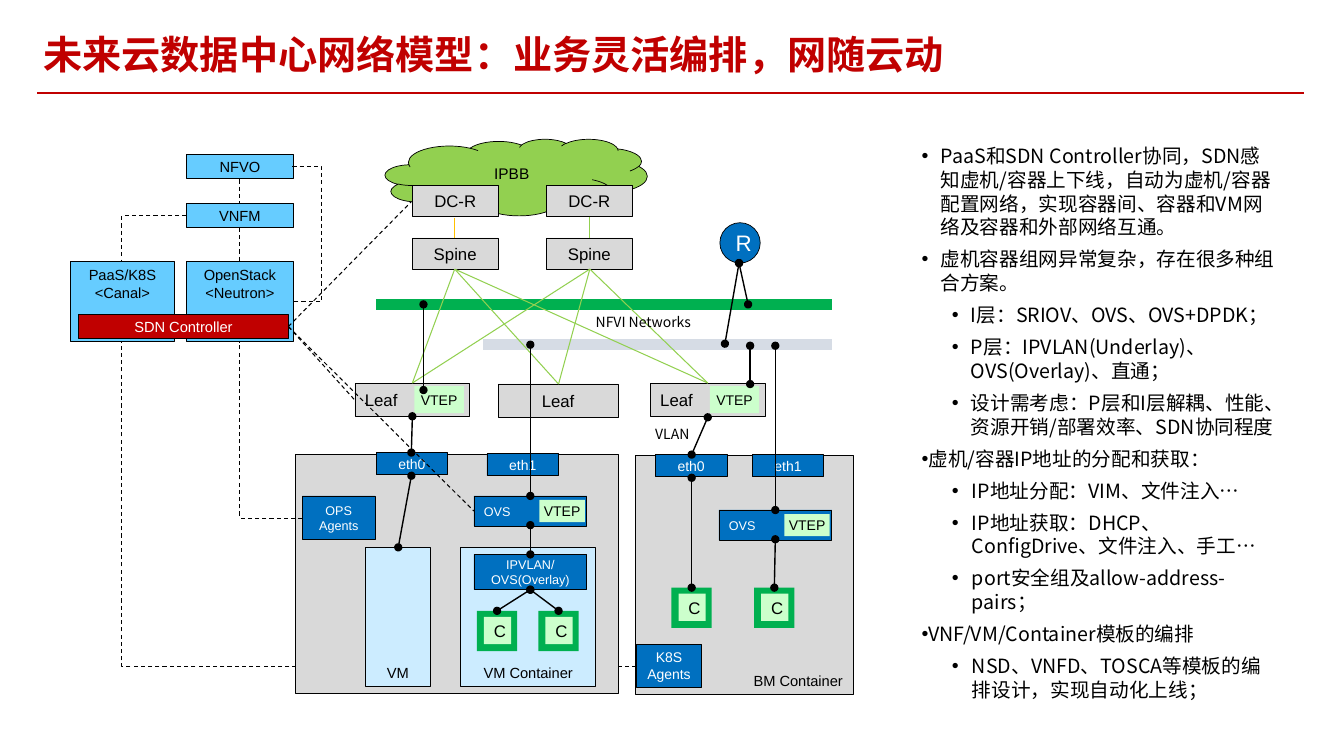
from dataclasses import dataclass

from pptx import Presentation
from pptx.dml.color import RGBColor
from pptx.enum.dml import MSO_LINE
from pptx.enum.shapes import MSO_CONNECTOR as Connector, MSO_SHAPE as Preset
from pptx.enum.text import MSO_ANCHOR as Anchor, MSO_AUTO_SIZE as AutoSize, PP_ALIGN as Align
from pptx.oxml.ns import qn
from pptx.oxml.xmlchemy import OxmlElement
from pptx.util import Emu, Pt


@dataclass(frozen=True)
class Theme:
    red: str = "C00000"
    black: str = "000000"
    white: str = "FFFFFF"
    sky: str = "66CCFF"
    ice: str = "CCECFF"
    blue: str = "0070C0"
    gray: str = "D9D9D9"
    silver: str = "D6DCE5"
    green: str = "00B050"
    lime: str = "92D050"
    mint: str = "CCFFCC"
    amber: str = "FFC000"
    latin: str = "Arial"
    chinese: str = "Noto Sans CJK SC"
    heading: float = 28
    body: float = 14
    router: float = 16
    device: float = 12
    cloud: float = 11
    block: float = 10.5
    port: float = 10
    agent: float = 9


def px(value):
    return Emu(value * 9144)


def assign(target, values):
    for name, value in values.items():
        setattr(target, name, value)


def add_element(parent, tag, **attributes):
    element = OxmlElement(tag)
    for name, value in attributes.items():
        element.set(name, str(value))
    parent.append(element)
    return element


class Diagram:
    def __init__(self, slide, theme):
        self.slide, self.theme = slide, theme

    def add_text(self, paragraph, text, size, color, font, bold=False):
        run = paragraph.add_run()
        run.text = text
        run.font.color.rgb = RGBColor.from_string(color)
        assign(run.font, {"size": Pt(size), "name": font, "bold": bold})
        add_element(run._r.get_or_add_rPr(), "a:ea", typeface=font)

    def place(self, shape, bounds):
        assign(shape, dict(zip(("left", "top", "width", "height"), map(px, bounds))))
        assign(shape.text_frame, {"word_wrap": True, "vertical_anchor": Anchor.TOP,
                                  "auto_size": AutoSize.SHAPE_TO_FIT_TEXT})

    def title(self, text, bounds):
        shape = self.slide.shapes.title
        self.place(shape, bounds)
        paragraph = shape.text_frame.paragraphs[0]
        assign(paragraph, {"alignment": Align.LEFT, "line_spacing": 0.9})
        self.add_text(paragraph, text, self.theme.heading, self.theme.red, self.theme.chinese, True)

    def bullets(self, items, bounds):
        shape = self.slide.placeholders[1]
        self.place(shape, bounds)
        frame = shape.text_frame
        for index, (level, margin, hang, text) in enumerate(items):
            paragraph = frame.add_paragraph() if index else frame.paragraphs[0]
            assign(paragraph, {"level": level, "alignment": Align.LEFT, "space_before": Pt(0),
                               "space_after": Pt(6), "line_spacing": Pt(16.9)})
            properties = paragraph._p.get_or_add_pPr()
            properties.set("marL", str(px(margin)))
            properties.set("indent", str(px(-hang)))
            add_element(properties, "a:buFont", typeface=self.theme.latin)
            add_element(properties, "a:buChar", char="•")
            self.add_text(paragraph, text, self.theme.body, self.theme.black, self.theme.chinese)

    def box(self, bounds, fill, text="", size=None, color=None, align=Align.CENTER,
            anchor=Anchor.MIDDLE, preset=Preset.RECTANGLE, outlined=True, insets=(10, 5, 10, 5)):
        shape = self.slide.shapes.add_shape(preset, *map(px, bounds))
        shape.shadow.inherit = False
        shape.fill.solid()
        shape.fill.fore_color.rgb = RGBColor.from_string(fill)
        if outlined:
            shape.line.color.rgb = RGBColor.from_string(self.theme.black)
            shape.line.width = Pt(0.5)
        else:
            shape.line.fill.background()
        if not text:
            return
        frame = shape.text_frame
        sides = ("margin_left", "margin_top", "margin_right", "margin_bottom")
        assign(frame, {"word_wrap": True, "vertical_anchor": anchor, **dict(zip(sides, map(px, insets)))})
        for index, line in enumerate(text.split("\n")):
            paragraph = frame.add_paragraph() if index else frame.paragraphs[0]
            paragraph.alignment = align
            self.add_text(paragraph, line, size or self.theme.block, color or self.theme.black, self.theme.latin)

    def label(self, text, bounds):
        frame = self.slide.shapes.add_textbox(*map(px, bounds)).text_frame
        assign(frame, {"word_wrap": False, "auto_size": AutoSize.SHAPE_TO_FIT_TEXT})
        self.add_text(frame.paragraphs[0], text, self.theme.port, self.theme.black, self.theme.chinese)

    def line(self, points, color=None, width=0.75, dashed=False, dots=False, kind=Connector.STRAIGHT):
        connector = self.slide.shapes.add_connector(kind, *map(px, points))
        connector.line.color.rgb = RGBColor.from_string(color or self.theme.black)
        connector.line.width = Pt(width)
        properties = connector._element.spPr
        if dashed:
            connector.line.dash_style = MSO_LINE.DASH
        if dots:
            for tag in ("a:headEnd", "a:tailEnd"):
                add_element(properties.find(qn("a:ln")), tag, type="oval")
        add_element(properties, "a:effectLst")
        return connector

    def link(self, *points):
        self.line(points, width=1, dots=True)

    def elbow(self, points, bend=None):
        connector = self.line(points, dashed=True, kind=Connector.ELBOW)
        geometry = connector._element.spPr.find(qn("a:prstGeom"))
        if bend is None:
            geometry.set("prst", "bentConnector2")
        else:
            guides = geometry.find(qn("a:avLst"))
            add_element(guides, "a:gd", name="adj1", fmla=f"val {bend}")

    def vtep(self, *bounds):
        self.box(bounds, self.theme.mint, "VTEP", self.theme.port, outlined=False, insets=(0, 5, 0, 5))

    def leaf(self, left):
        self.box((left, 380, 114, 33), self.theme.gray, "Leaf", self.theme.device, align=Align.LEFT)
        self.vtep(left + 59, 383, 49, 27)

    def ovs(self, left, top):
        self.box((left, top, 112, 30), self.theme.blue, "OVS", self.theme.agent, self.theme.white, Align.LEFT)
        self.vtep(left + 65, top + 4, 45, 22)

    def port(self, left, top, name):
        self.box((left, top, 71, 22), self.theme.blue, name, self.theme.port, self.theme.white)

    def container(self, left, top):
        self.box((left, top, 40, 40), self.theme.green, outlined=False)
        self.box((left + 7, top + 6, 27, 27), self.theme.mint, "C", self.theme.device, outlined=False)


def draw_orchestration(diagram, theme):
    diagram.elbow((631, 661, 121, 339))
    for top, name in ((153, "NFVO"), (202, "VNFM")):
        diagram.box((185, top, 106, 24), theme.sky, name)
    for left, width, name in ((185, 106, "OpenStack\n<Neutron>"), (70, 103, "PaaS/K8S\n<Canal>")):
        diagram.box((left, 259, width, 80), theme.sky, name, anchor=Anchor.TOP)
    for top, bottom in ((178, 202), (226, 259)):
        diagram.line((238, top, 238, bottom), dashed=True)
    diagram.box((78, 312, 208, 24), theme.red, "SDN Controller", color=theme.white)
    diagram.box((382, 138, 260, 76), theme.lime, "IPBB", theme.cloud, preset=Preset.CLOUD, insets=(10, 0, 0, 5))
    diagram.elbow((290, 165, 292, 299), 1450000)
    diagram.elbow((185, 214, 121, 259))


def draw_virtual_host(diagram, theme):
    diagram.box((293, 451, 320, 237), theme.gray)
    diagram.box((300, 492, 72, 43), theme.blue, "OPS\nAgents", theme.agent, theme.white)
    for left, width, name in ((362, 65, "VM"), (457, 134, "VM Container")):
        diagram.box((left, 543, width, 138), theme.ice, name, anchor=Anchor.BOTTOM)
    diagram.box((470, 550, 112, 35), theme.blue, "IPVLAN/\nOVS(Overlay)", theme.agent, theme.white,
                insets=(4, 5, 4, 5))
    for left in (473, 534):
        diagram.container(left, 606)
        diagram.link(526, 585, left + 20, 606)
    diagram.ovs(470, 492)
    diagram.port(483, 450, "eth1")
    diagram.port(373, 449, "eth0")
    diagram.link(408, 472, 395, 543)
    diagram.link(526, 521, 526, 550)


def draw_fabric(diagram, theme):
    diagram.leaf(352)
    diagram.link(409, 413, 408, 449)
    diagram.leaf(645)
    diagram.box((494, 381, 119, 33), theme.gray, "Leaf", theme.device)
    diagram.line((479, 342, 825, 342), theme.silver, 7.75)
    diagram.line((373, 302, 825, 302), theme.green, 7.75)
    for top, name in ((236, "Spine"), (184, "DC-R")):
        for left in (409, 542):
            diagram.box((left, top, 85, 31), theme.gray, name, theme.device)
    for spine in (451, 585):
        for leaf, top in ((409, 380), (554, 381), (702, 380)):
            diagram.line((spine, 267, leaf, top), theme.lime)
    diagram.link(420, 387, 420, 302)
    diagram.link(526, 492, 526, 342)
    diagram.box((714, 221, 40, 40), theme.blue, "R", theme.router, theme.white, preset=Preset.OVAL)
    diagram.link(733, 261, 742, 302)
    diagram.link(733, 261, 719, 341)


def draw_bare_metal_host(diagram, theme):
    diagram.box((630, 452, 216, 237), theme.gray, "BM Container", align=Align.RIGHT, anchor=Anchor.BOTTOM)
    diagram.box((631, 639, 65, 43), theme.blue, "K8S\nAgents", theme.port, theme.white, insets=(0, 5, 0, 5))
    diagram.ovs(713, 506)
    for left, name in ((746, "eth1"), (650, "eth0")):
        diagram.port(left, 451, name)
    for left in (748, 666):
        diagram.container(left, 583)
    for points in ((769, 535, 768, 583), (686, 474, 686, 583), (769, 343, 769, 506),
                   (702, 414, 686, 451), (744, 343, 744, 381)):
        diagram.link(*points)


def draw_control_links(diagram, theme):
    diagram.label("VLAN", (640, 417, 64, 31))
    diagram.label("NFVI Networks", (581, 306, 130, 31))
    diagram.elbow((300, 514, 238, 339))
    diagram.line((585, 215, 585, 236), theme.lime)
    diagram.line((451, 216, 451, 236), theme.amber, 0.5)
    for right, bottom in ((408, 200), (352, 397), (470, 507)):
        diagram.line((286, 324, right, bottom), dashed=True)


BULLETS = (
    (0, 19, 19, "PaaS和SDN Controller协同，SDN感知虚机/容器上下线，自动为虚机/容器配置网络，实现容器间、容器和VM网络及容器和外部网络互通。"),
    (0, 19, 19, "虚机容器组网异常复杂，存在很多种组合方案。"),
    (1, 49, 19, "I层：SRIOV、OVS、OVS+DPDK；"),
    (1, 49, 19, "P层：IPVLAN(Underlay)、OVS(Overlay)、直通；"),
    (1, 49, 19, "设计需考虑：P层和I层解耦、性能、资源开销/部署效率、SDN协同程度"),
    (0, 0, 20, "虚机/容器IP地址的分配和获取："),
    (1, 50, 20, "IP地址分配：VIM、文件注入…"),
    (1, 50, 20, "IP地址获取：DHCP、 ConfigDrive、文件注入、手工…"),
    (1, 50, 20, "port安全组及allow-address-pairs；"),
    (0, 0, 20, "VNF/VM/Container模板的编排"),
    (1, 50, 20, "NSD、VNFD、TOSCA等模板的编排设计，实现自动化上线；"),
)


def main():
    presentation = Presentation()
    assign(presentation, {"slide_width": px(1333), "slide_height": px(750)})
    theme = Theme()
    diagram = Diagram(presentation.slides.add_slide(presentation.slide_layouts[1]), theme)
    diagram.title("未来云数据中心网络模型：业务灵活编排，网随云动", (33, 30, 1281, 57))
    diagram.line((37, 92, 1293, 92), theme.red, 1.5)
    for draw in (draw_orchestration, draw_virtual_host, draw_fabric, draw_bare_metal_host, draw_control_links):
        draw(diagram, theme)
    diagram.bullets(BULLETS, (904, 138, 373, 542))
    presentation.save("out.pptx")


if __name__ == "__main__":
    main()
